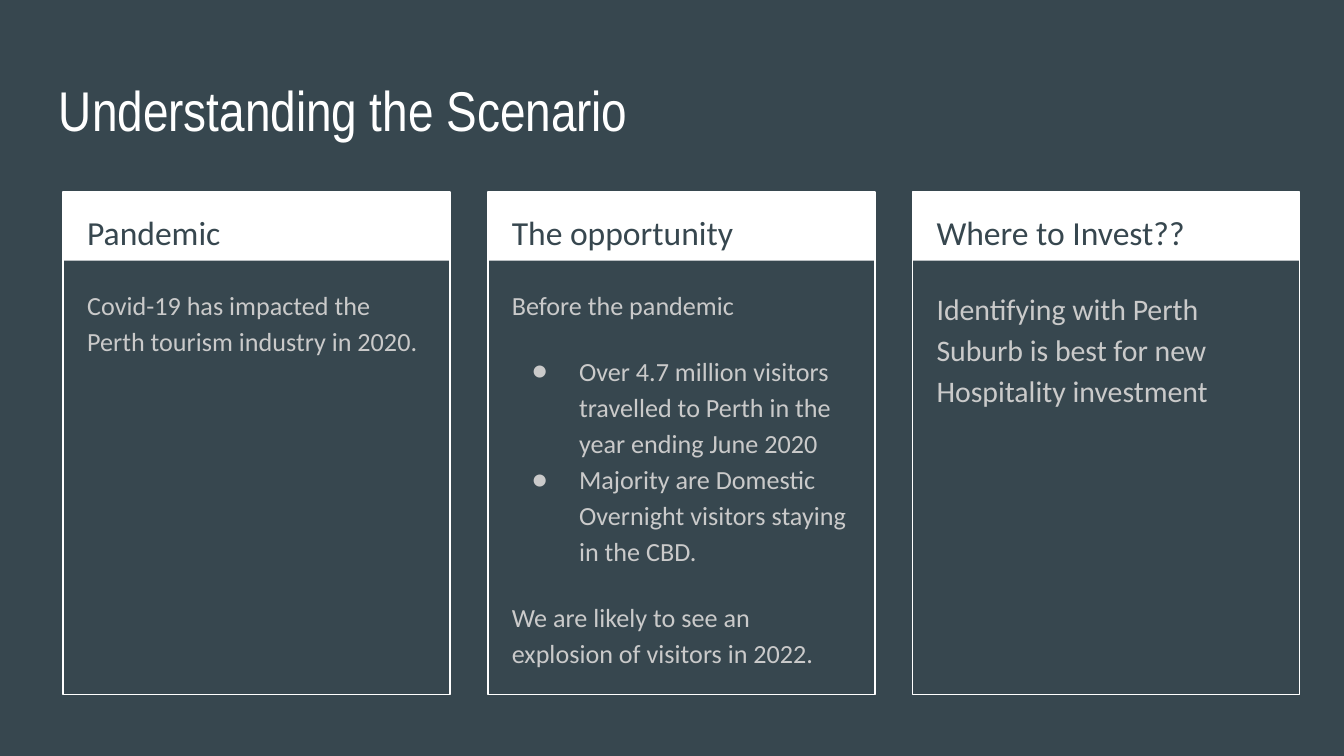
from lxml import etree
from pptx import Presentation
from pptx.dml.color import RGBColor
from pptx.enum.shapes import MSO_SHAPE
from pptx.enum.text import MSO_ANCHOR
from pptx.oxml.ns import qn
from pptx.util import Inches, Pt

RECTANGLE = MSO_SHAPE.RECTANGLE
TOP = MSO_ANCHOR.TOP
SLATE = RGBColor(0x37, 0x47, 0x4F)
WHITE = RGBColor(0xFF, 0xFF, 0xFF)
SILVER = RGBColor(0xCA, 0xCA, 0xCA)

CARD_LEFT = 0.47
CARD_STEP = 3.16
CARD_TOP = 1.43
CARD_WIDTH = 2.88
CARDS = [
    ("Pandemic", 14, [
        ("Covid-19 has impacted the Perth tourism industry in 2020.", 0, 16, False),
    ]),
    ("The opportunity", 14, [
        ("Before the pandemic", 0, 0, False),
        ("Over 4.7 million visitors travelled to Perth in the year ending June 2020", 16, 0, True),
        ("Majority are Domestic Overnight visitors staying in the CBD.", 0, 0, True),
        ("We are likely to see an explosion of visitors in 2022.", 16, 16, False),
    ]),
    ("Where to Invest??", 16, [
        ("Identifying with Perth Suburb is best for new Hospitality investment", 0, 16, False),
    ]),
]


class SlideBuilder:
    title_font = "Arial Narrow"
    body_font = "Calibri"
    line_spacing = 1.15

    def __init__(self, deck):
        self.slide = deck.slides.add_slide(deck.slide_layouts[6])
        background = self.slide.background.fill
        background.solid()
        background.fore_color.rgb = SLATE

    def rectangle(self, group, left, top, width, height, fill=None, line=None):
        shape = group.shapes.add_shape(
            RECTANGLE, Inches(left), Inches(top), Inches(width), Inches(height))
        shape.shadow.inherit = False
        if fill is None:
            shape.fill.background()
        else:
            shape.fill.solid()
            shape.fill.fore_color.rgb = fill
        if line is None:
            shape.line.fill.background()
        else:
            shape.line.color.rgb = line
            shape.line.width = Pt(0.75)

    def text_box(self, left, top, width, height):
        box = self.slide.shapes.add_textbox(
            Inches(left), Inches(top), Inches(width), Inches(height))
        frame = box.text_frame
        frame.word_wrap = True
        frame.vertical_anchor = TOP
        frame.margin_left = frame.margin_right = Inches(0.1)
        frame.margin_top = frame.margin_bottom = Inches(0.1)
        return frame

    def span(self, para, text, font, size, color):
        span = para.add_run()
        span.text = text
        span.font.name = font
        span.font.size = Pt(size)
        span.font.color.rgb = color

    def bullet(self, para, size):
        properties = para._p.get_or_add_pPr()
        properties.set("marL", str(Inches(0.5)))
        properties.set("indent", str(Inches(-0.35)))
        color = etree.SubElement(properties, qn("a:buClr"))
        etree.SubElement(color, qn("a:srgbClr"), val=str(SILVER))
        etree.SubElement(properties, qn("a:buSzPts"), val=str(size * 100))
        etree.SubElement(properties, qn("a:buFont"), typeface=self.body_font)
        etree.SubElement(properties, qn("a:buChar"), char="●")

    def title(self, text):
        para = self.text_box(0.34, 0.46, 9.32, 0.63).paragraphs[0]
        self.span(para, text, self.title_font, 30, WHITE)

    def heading(self, text, left):
        para = self.text_box(left, CARD_TOP, 2.73, 0.5).paragraphs[0]
        para.line_spacing = self.line_spacing
        self.span(para, text, self.body_font, 18, SLATE)

    def body(self, items, size, left):
        frame = self.text_box(left, 2.02, 2.71, 3.06)
        for index, (text, before, after, bulleted) in enumerate(items):
            para = frame.add_paragraph() if index else frame.paragraphs[0]
            para.line_spacing = self.line_spacing
            para.space_before = Pt(before)
            para.space_after = Pt(after)
            if bulleted:
                self.bullet(para, size)
            self.span(para, text, self.body_font, size, SILVER)

    def card(self, left, heading, size, items):
        group = self.slide.shapes.add_group_shape()
        self.rectangle(group, left, CARD_TOP, CARD_WIDTH, 0.51, fill=WHITE)
        self.rectangle(group, left, CARD_TOP, CARD_WIDTH, 3.74, line=WHITE)
        self.heading(heading, left + 0.08)
        self.body(items, size, left + 0.08)


def main():
    deck = Presentation()
    deck.slide_width = Inches(10)
    deck.slide_height = Inches(10) * 9 // 16
    page = SlideBuilder(deck)
    page.title("Understanding the Scenario")
    for index, (heading, size, items) in enumerate(CARDS):
        page.card(CARD_LEFT + index * CARD_STEP, heading, size, items)
    deck.save("out.pptx")


if __name__ == "__main__":
    main()
